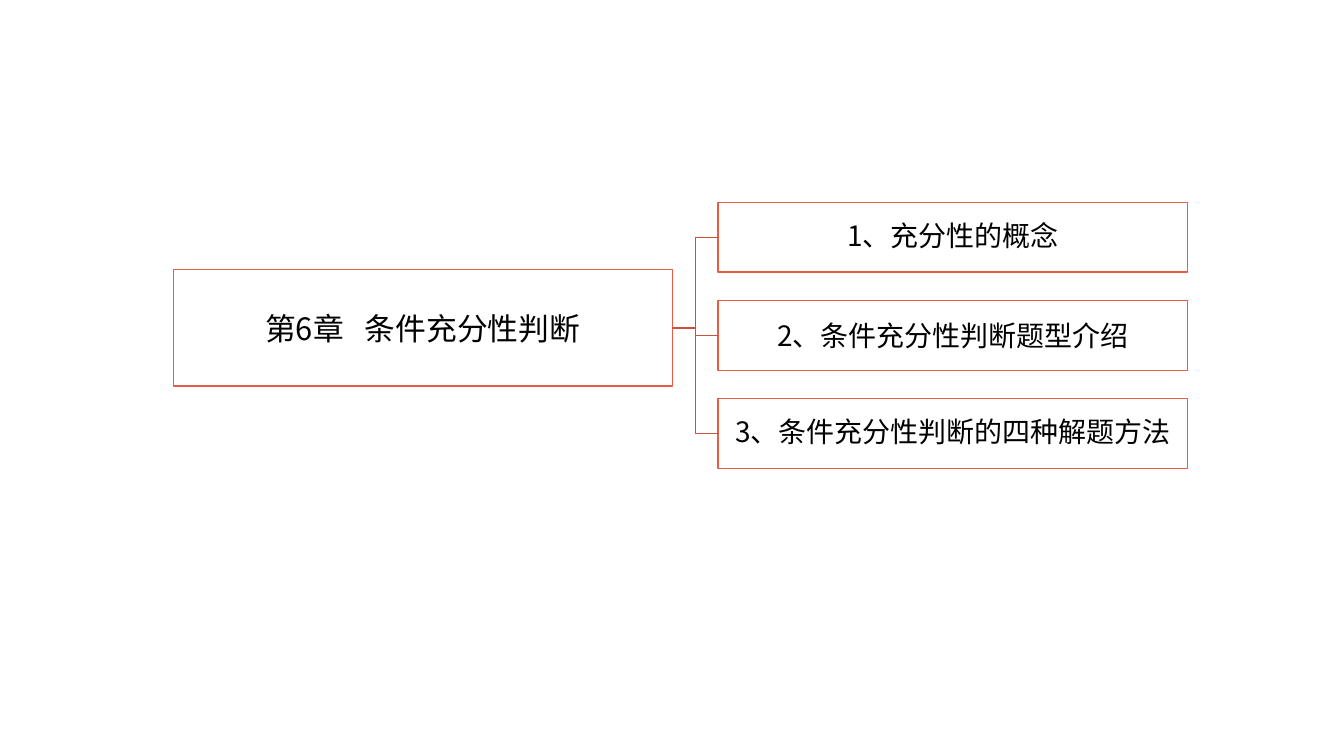
from lxml import etree
from pptx import Presentation
from pptx.dml.color import RGBColor
from pptx.enum import shapes, text
from pptx.oxml import ns
from pptx.util import Pt

CHAPTER = ("第6章", "条件充分性判断")
SECTIONS = [  # wording, line spacing
    ("1、充分性的概念", 0.9),
    ("2、条件充分性判断题型介绍", 1.0),
    ("3、条件充分性判断的四种解题方法", 0.9),
]
FONT = "Noto Sans CJK SC"
WHITE, BLACK, BORDER, BRANCH = "FFFFFF", "000000", "E75B47", "CC503E"
CHAPTER_BOX = (247.5, 385.2, 713.2, 166.3)
SECTION_LEFT, SECTION_TOP, SECTION_WIDTH, SECTION_HEIGHT = 1026, 289.4, 670.3, 99.4
SECTION_PITCH = 140.1
RIGHT_SIDE, LEFT_SIDE = 3, 1


def color(value):
    return RGBColor.from_string(value)


def set_line(shape, value):
    shape.line.color.rgb = color(value)
    shape.line.width = Pt(2)


def format_box(shape, box):
    for name, value in zip(("left", "top", "width", "height"), box):
        setattr(shape, name, Pt(value))
    shape.fill.solid()
    shape.fill.fore_color.rgb = color(WHITE)
    set_line(shape, BORDER)
    frame = shape.text_frame
    settings = {"word_wrap": True, "auto_size": text.MSO_AUTO_SIZE.NONE,
                "vertical_anchor": text.MSO_ANCHOR.MIDDLE}
    settings.update({"margin_" + side: Pt(2)
                     for side in ("left", "top", "right", "bottom")})
    for name, value in settings.items():
        setattr(frame, name, value)


def add_run(paragraph, words, size):
    paragraph.alignment = text.PP_ALIGN.CENTER
    run = paragraph.add_run()
    run.text = words
    run.font.name = FONT
    run.font.size = Pt(size)
    run.font.color.rgb = color(BLACK)
    properties = run.font._element
    etree.SubElement(properties, ns.qn("a:ea"), typeface=FONT)
    return properties


def add_branch(slide, parent, child):
    branch = slide.shapes.add_connector(shapes.MSO_CONNECTOR.ELBOW, 0, 0, 0, 0)
    branch.begin_connect(parent, RIGHT_SIDE)
    branch.end_connect(child, LEFT_SIDE)
    set_line(branch, BRANCH)
    etree.SubElement(branch._element.spPr, ns.qn("a:effectLst"))


def main():
    presentation = Presentation()
    presentation.slide_width, presentation.slide_height = Pt(1920), Pt(1080)
    slide = presentation.slides.add_slide(presentation.slide_layouts[5])

    chapter = slide.shapes.title
    format_box(chapter, CHAPTER_BOX)
    heading = chapter.text_frame.paragraphs[0]
    number, name = CHAPTER
    add_run(heading, number, 44)
    add_run(heading, " ", 44).set("spc", "2000")  # one widened space
    add_run(heading, name, 44)

    for index, (words, spacing) in enumerate(SECTIONS):
        section = slide.shapes.add_shape(shapes.MSO_SHAPE.RECTANGLE, 0, 0, 0, 0)
        section.shadow.inherit = False
        format_box(section, (SECTION_LEFT, SECTION_TOP + index * SECTION_PITCH,
                             SECTION_WIDTH, SECTION_HEIGHT))
        paragraph = section.text_frame.paragraphs[0]
        paragraph.line_spacing = spacing
        add_run(paragraph, words, 40)
        add_branch(slide, chapter, section)

    presentation.save("out.pptx")


if __name__ == "__main__":
    main()
